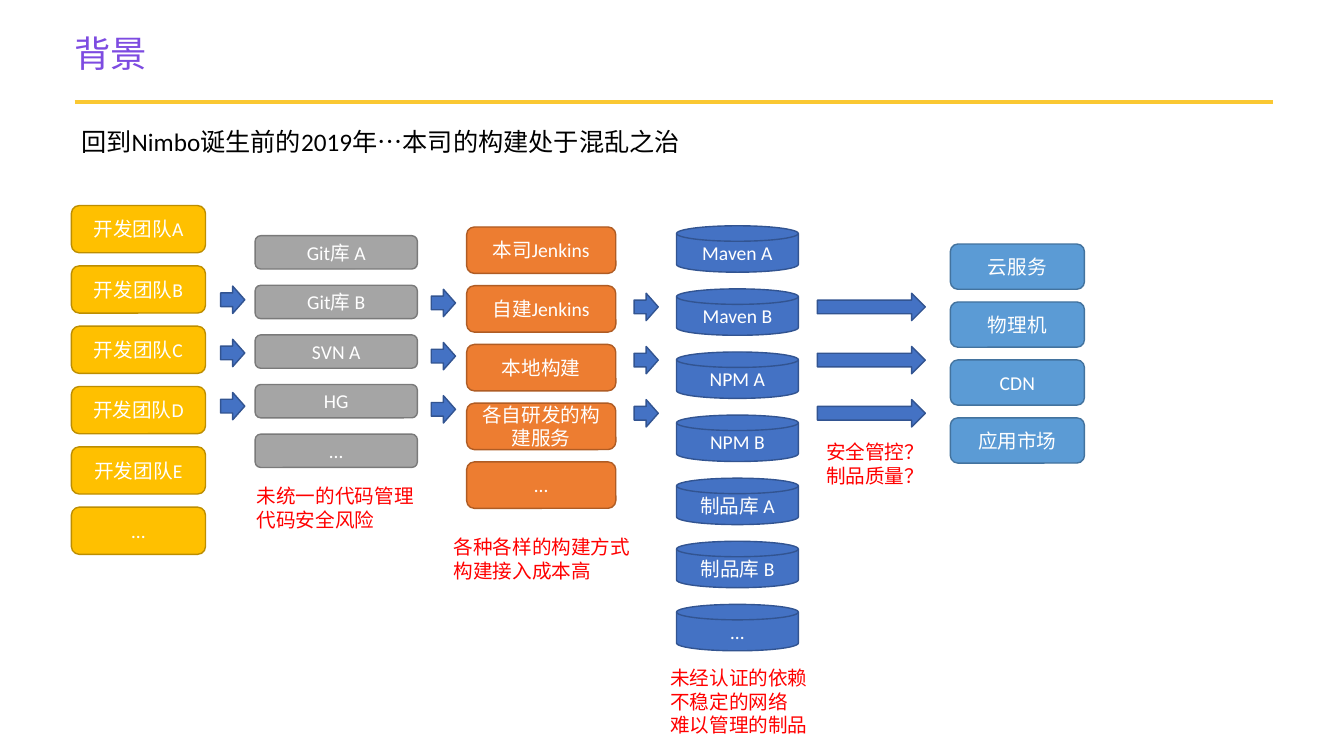
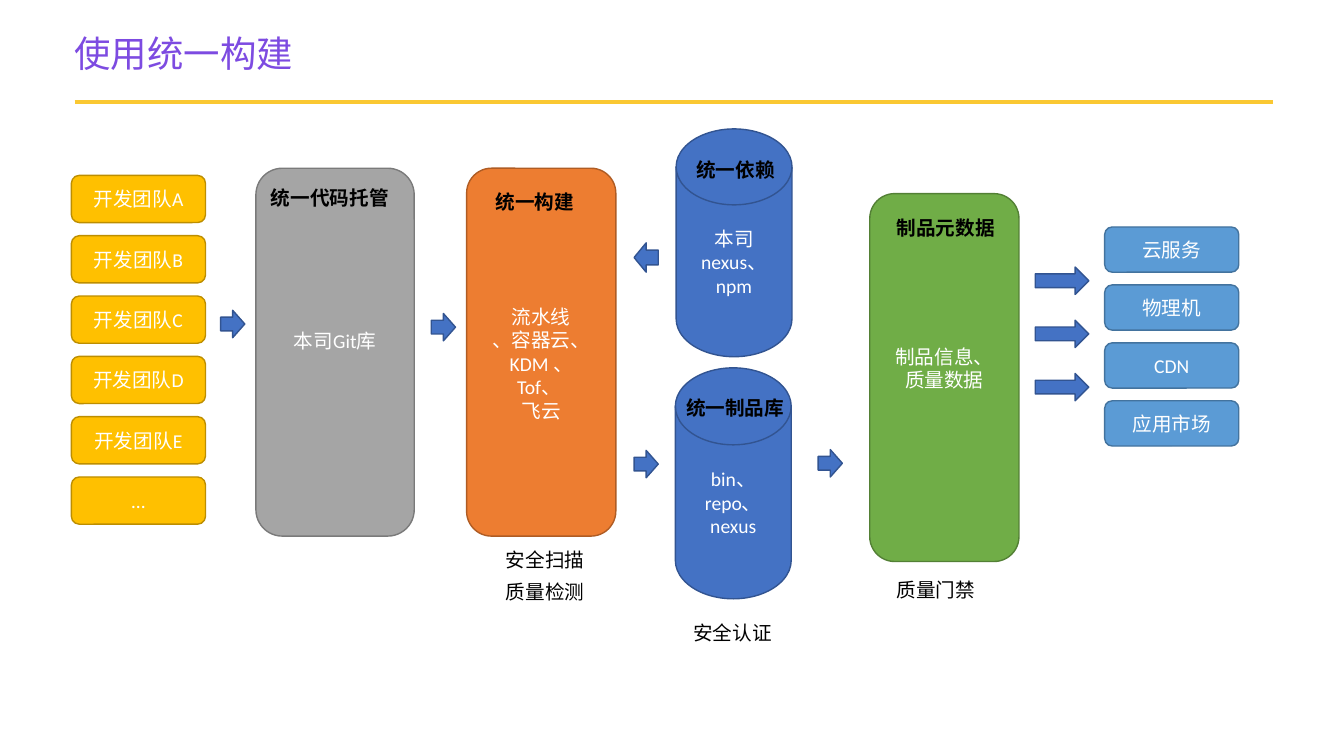
from lxml.etree import SubElement
from pptx import Presentation
from pptx.dml.color import RGBColor as Rgb
from pptx.enum.shapes import MSO_CONNECTOR as Link, MSO_SHAPE as Kind
from pptx.enum.text import MSO_ANCHOR as Anchor, PP_ALIGN as Align
from pptx.oxml.ns import qn
from pptx.util import Cm, Pt

HUES = {
    "title": "7D4BE1", "rule": "FAC832", "black": "000000",
    "white": "FFFFFF", "red": "FF0000",
    "gold": "FFC000", "gold edge": "BD8E00",
    "gray": "A5A5A5", "gray edge": "7A7A7A",
    "orange": "ED7D31", "orange edge": "AF5C24",
    "blue": "4472C4", "blue edge": "325491",
    "sky": "5B9BD5", "sky edge": "43739E",
    "green": "70AD47", "green edge": "538035",
}
LATIN, ASIAN = "Calibri", "Noto Sans CJK SC"
ROUND, DISK = Kind.ROUNDED_RECTANGLE, Kind.FLOWCHART_MAGNETIC_DISK
TEAMS = ["开发团队A", "开发团队B", "开发团队C", "开发团队D", "开发团队E", "…"]
GOALS = ["云服务", "物理机", "CDN", "应用市场"]


def tint(name):
    return Rgb.from_string(HUES[name])


def fill_text(frame, lines, hue, size=14, bold=False, align=Align.LEFT, face=LATIN):
    frame.word_wrap = True
    for i, line in enumerate(lines):
        para = frame.add_paragraph() if i else frame.paragraphs[0]
        para.text = line
        para.alignment = align
        for run in para.runs:
            font = run.font
            font.size, font.bold, font.name = Pt(size), bold, face
            font.color.rgb = tint(hue)
            SubElement(font._element, qn("a:ea"), typeface=ASIAN)


def add_text(slide, x, y, w, h, lines, hue="black", **style):
    box = slide.shapes.add_textbox(Cm(x), Cm(y), Cm(w), Cm(h))
    fill_text(box.text_frame, lines, hue, **style)
    return box.text_frame


def add_block(slide, kind, x, y, w, h, hue, lines=()):
    block = slide.shapes.add_shape(kind, Cm(x), Cm(y), Cm(w), Cm(h))
    block.shadow.inherit = False
    block.fill.solid()
    block.fill.fore_color.rgb = tint(hue)
    block.line.color.rgb = tint(hue + " edge")
    block.line.width = Pt(1)
    frame = block.text_frame
    frame.vertical_anchor = Anchor.MIDDLE
    fill_text(frame, lines, "white", align=Align.CENTER)
    return frame


def add_stack(slide, kind, x, y, w, h, step, hue, names):
    """Column of equal blocks, one for each name."""
    for i, name in enumerate(names):
        add_block(slide, kind, x, y + i * step, w, h, hue, [name])


def add_teams(slide, y):
    add_stack(slide, ROUND, 1.8, y, 3.38, 1.19, 1.52, "gold", TEAMS)


def add_goals(slide, x, y):
    add_stack(slide, ROUND, x, y, 3.38, 1.14, 1.46, "sky", GOALS)


def add_arrows(slide, x, y, w=0.61, count=3):
    for i in range(count):
        add_block(slide, Kind.RIGHT_ARROW, x, y + i * 1.34, w, 0.69, "blue")


def add_panel(slide, kind, box, hue, lines, head, shift, feet=(), pad=(0.13, 0.13)):
    """Large block with a bold head inside and captions below it.

    shift is the head's offset from the corner; feet holds (text, dx, gap).
    """
    x, y, w, h = box
    frame = add_block(slide, kind, x, y, w, h, hue, lines)
    frame.margin_top, frame.margin_bottom = map(Cm, pad)
    add_text(slide, x + shift[0], y + shift[1], 3.73, 0.86, [head], bold=True)
    for text, dx, gap in feet:
        add_text(slide, x + dx, y + h + gap, 3.73, 0.86, [text])


def new_slide(deck, title):
    slide = deck.slides.add_slide(deck.slide_layouts[6])
    rule = slide.shapes.add_connector(
        Link.STRAIGHT, Cm(1.88), Cm(2.57), Cm(32.08), Cm(2.57))
    rule.line.color.rgb = tint("rule")
    rule.line.width = Pt(3)
    SubElement(rule._element.spPr, qn("a:effectLst"))
    frame = add_text(slide, 1.63, 0.81, 11.07, 1.17, [title], "title",
                     size=26, face=ASIAN)
    frame.vertical_anchor = Anchor.MIDDLE
    frame.paragraphs[0].line_spacing = 0.9
    return slide


def build_past(deck):
    slide = new_slide(deck, "背景")
    add_text(slide, 1.8, 3.07, 17.63, 1.02,
             ["回到Nimbo诞生前的2019年…本司的构建处于混乱之治"], size=18)
    add_teams(slide, 5.18)
    add_stack(slide, ROUND, 6.43, 5.94, 4.09, 0.84, 1.25, "gray",
              ["Git库 A", "Git库 B", "SVN A", "HG", "…"])
    add_stack(slide, ROUND, 11.76, 5.72, 3.76, 1.17, 1.48, "orange",
              ["本司Jenkins", "自建Jenkins", "本地构建", "各自研发的构建服务", "…"])
    add_stack(slide, DISK, 17.05, 5.69, 3.07, 1.17, 1.59, "blue",
              ["Maven A", "Maven B", "NPM A", "NPM B", "制品库 A", "制品库 B", "…"])
    add_goals(slide, 23.95, 6.15)
    for x, y, w in [(5.56, 7.21, 0.61), (10.87, 7.29, 0.61),
                    (15.98, 7.39, 0.61), (20.6, 7.39, 2.72)]:
        add_arrows(slide, x, y, w)
    for x, y, w, h, lines in [
        (6.22, 12.07, 4.7, 1.45, ["未统一的代码管理", "代码安全风险"]),
        (11.18, 13.36, 5.2, 1.45, ["各种各样的构建方式", "构建接入成本高"]),
        (16.64, 16.66, 4.2, 2.3, ["未经认证的依赖", "不稳定的网络", "难以管理的制品"]),
        (20.57, 10.97, 3.3, 1.45, ["安全管控？", "制品质量？"]),
    ]:
        add_text(slide, x, y, w, h, lines, "red")


def build_now(deck):
    slide = new_slide(deck, "使用统一构建")
    add_teams(slide, 4.42)
    add_panel(slide, ROUND, (6.45, 4.24, 3.99, 9.27), "gray", ["本司Git库"],
              "统一代码托管", (0.13, 0.33), pad=(0.13, 0.7))
    add_panel(slide, ROUND, (11.76, 4.24, 3.76, 9.27), "orange",
              ["流水线", "、容器云、 KDM 、", "Tof、 ", "飞云"],
              "统一构建", (0.48, 0.43),
              [("安全扫描", 0.74, 0.18), ("质量检测", 0.74, 0.99)], (0.7, 0.13))
    add_panel(slide, DISK, (17.04, 3.25, 2.92, 5.74), "blue", ["本司nexus、npm"],
              "统一依赖", (0.26, 0.61))
    add_panel(slide, DISK, (17.02, 9.27, 2.92, 5.82), "blue", ["bin、repo、nexus"],
              "统一制品库", (0.02, 0.59), [("安全认证", 0.2, 0.43)])
    add_panel(slide, ROUND, (21.92, 4.88, 3.76, 9.27), "green",
              ["制品信息、", "质量数据"], "制品元数据", (0.43, 0.43),
              [("质量门禁", 0.43, 0.28)], (0.13, 0.6))
    add_goals(slide, 27.84, 5.72)
    for x, y in [(5.56, 7.82), (10.87, 7.9), (15.98, 11.35), (20.62, 11.33)]:
        add_arrows(slide, x, y, count=1)
    add_block(slide, Kind.LEFT_ARROW, 15.98, 6.12, 0.61, 0.74, "blue")
    add_arrows(slide, 26.09, 6.73, 1.35)


def main():
    deck = Presentation()
    deck.slide_width, deck.slide_height = Cm(33.87), Cm(19.05)
    build_past(deck)
    build_now(deck)
    deck.save("out.pptx")


if __name__ == "__main__":
    main()
